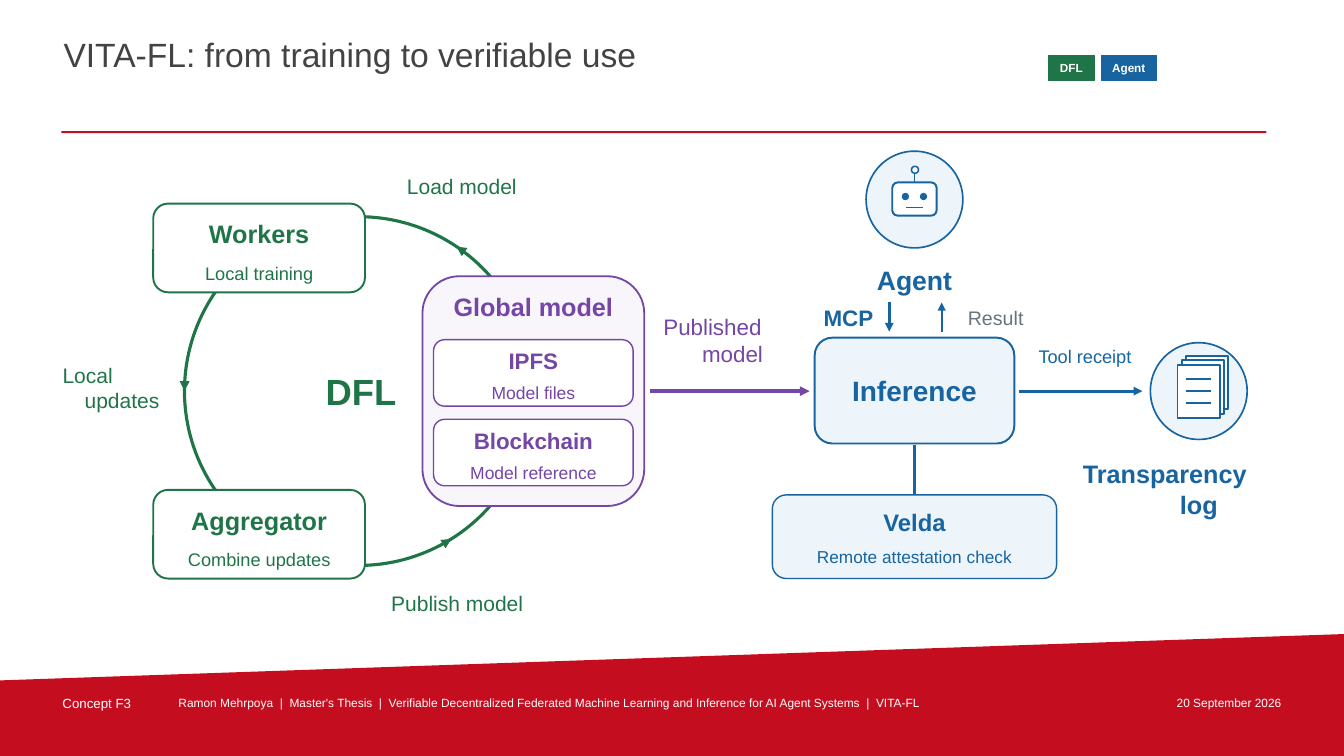
from dataclasses import dataclass
from math import cos, radians, sin

from lxml import etree
from pptx import Presentation
from pptx.dml.color import RGBColor
from pptx.enum.shapes import MSO_CONNECTOR, MSO_SHAPE
from pptx.enum.text import MSO_ANCHOR, PP_ALIGN
from pptx.oxml.ns import qn
from pptx.util import Inches, Pt

RECT = MSO_SHAPE.RECTANGLE
ROUND = MSO_SHAPE.ROUNDED_RECTANGLE
OVAL = MSO_SHAPE.OVAL
STRAIGHT = MSO_CONNECTOR.STRAIGHT
TOP, MIDDLE = MSO_ANCHOR.TOP, MSO_ANCHOR.MIDDLE
LEFT, CENTER, RIGHT = PP_ALIGN.LEFT, PP_ALIGN.CENTER, PP_ALIGN.RIGHT


@dataclass(frozen=True)
class Theme:
    font: str = "Arial"
    red: str = "C40D1E"
    dark: str = "434343"
    gray: str = "67747C"
    white: str = "FFFFFF"
    green: str = "207548"
    blue: str = "1764A1"
    sky: str = "EDF4FA"
    violet: str = "7446A6"
    lilac: str = "F8F5FB"
    title: float = 24
    hero: float = 26
    main: float = 20
    agent: float = 19
    head: float = 18
    proof: float = 17
    layer: float = 16
    label: float = 15
    result: float = 14
    note: float = 13
    file: float = 12.5
    check: float = 12.3
    mark: float = 9.5
    foot: float = 8.5
    chip: float = 8.4


T = Theme()


@dataclass(frozen=True)
class Style:
    """Card look; each row is (offset from card top, height, type size)."""
    size: tuple[float, float]
    fill: str
    ink: str
    line: float
    pad: float
    head: tuple[float, float, float]
    note: tuple[float, float, float]


@dataclass(frozen=True)
class Card:
    x: float
    y: float
    head: str
    note: str
    style: Style


@dataclass(frozen=True)
class Label:
    text: str
    x: float
    y: float
    w: float
    h: float
    size: float
    ink: str
    bold: bool = False


@dataclass(frozen=True)
class Link:
    x1: float
    y1: float
    x2: float
    y2: float
    ink: str
    width: float
    arrow: bool = True


STEP = Style((2.1, 0.88), T.white, T.green, 1.35, 0.06,
             (0.12, 0.36, T.head), (0.57, 0.24, T.note))
LAYER = Style((1.98, 0.66), T.white, T.violet, 1, 0.08,
              (0.05, 0.32, T.layer), (0.42, 0.21, T.file))
PROOF = Style((2.82, 0.83), T.sky, T.blue, 1, 0.11,
              (0.1, 0.33, T.proof), (0.49, 0.25, T.check))

CARDS = [
    Card(1.52, 2.02, "Workers", "Local training", STEP),
    Card(1.52, 4.86, "Aggregator", "Combine updates", STEP),
    Card(4.3, 3.37, "IPFS", "Model files", LAYER),
    Card(4.3, 4.16, "Blockchain", "Model reference", LAYER),
    Card(7.66, 4.91, "Velda", "Remote attestation check", PROOF),
]
LABELS = [
    Label("DFL", 2.97, 3.65, 1.22, 0.46, T.hero, T.green, True),
    Label("Local\nupdates", 0.62, 3.51, 1.18, 0.67, T.label, T.green),
    Label("Load model", 3.67, 1.68, 1.82, 0.34, T.label, T.green),
    Label("Publish model", 3.47, 5.82, 2.13, 0.32, T.label, T.green),
    Label("Global model", 4.27, 2.86, 2.04, 0.35, T.head, T.violet, True),
    Label("Published\nmodel", 6.58, 3.05, 1.37, 0.65, T.layer, T.violet),
    Label("Inference", 8.15, 3.38, 1.84, 0.99, T.main, T.blue, True),
    Label("Agent", 7.92, 2.59, 2.3, 0.38, T.agent, T.blue, True),
    Label("MCP", 8.09, 3, 0.65, 0.3, T.layer, T.blue, True),
    Label("Result", 9.48, 3, 0.79, 0.3, T.result, T.gray),
    Label("Tool receipt", 10.15, 3.37, 1.22, 0.33, T.note, T.blue),
    Label("Transparency\nlog", 10.74, 4.49, 2.3, 0.72, T.head, T.blue, True),
]
LINKS = [
    Link(6.45, 3.88, 8.03, 3.88, T.violet, 2.3),
    Link(8.82, 3, 8.82, 3.29, T.blue, 2.1),
    Link(9.34, 3.29, 9.34, 3, T.blue, 1.5),
    Link(10.11, 3.88, 11.33, 3.88, T.blue, 2.1),
    Link(9.07, 4.41, 9.07, 4.91, T.blue, 1.5, False),
]


def rgb(code: str) -> RGBColor:
    return RGBColor.from_string(code)


def add_box(slide, kind, x: float, y: float, w: float, h: float,
            fill: str, ink: str = "", width: float = 1) -> None:
    box = slide.shapes.add_shape(kind, Inches(x), Inches(y), Inches(w), Inches(h))
    paint(box, fill, ink, width)


def paint(shape, fill: str, ink: str = "", width: float = 1) -> None:
    """Fill the shape and outline it; without ink there is no outline."""
    shape.shadow.inherit = False
    shape.fill.solid()
    shape.fill.fore_color.rgb = rgb(fill)
    if ink:
        shape.line.color.rgb = rgb(ink)
        shape.line.width = Pt(width)
    else:
        shape.line.fill.background()


def add_text(slide, text: str, x: float, y: float, w: float, h: float, *,
             size: float, ink: str, bold: bool = False, align=CENTER,
             anchor=MIDDLE, inset: float = 0) -> None:
    """Write one paragraph per line; all but the last line start at the left."""
    frame = slide.shapes.add_textbox(Inches(x), Inches(y), Inches(w), Inches(h)).text_frame
    frame.word_wrap = True
    frame.vertical_anchor = anchor
    frame.margin_left = frame.margin_right = Inches(inset)
    frame.margin_top = frame.margin_bottom = Inches(inset)
    frame.text = text
    for para in frame.paragraphs:
        para.alignment = LEFT
        para.font.name = T.font
        para.font.size = Pt(size)
        para.font.bold = bold
        para.font.color.rgb = rgb(ink)
    frame.paragraphs[-1].alignment = align


def add_link(slide, link: Link) -> None:
    line = slide.shapes.add_connector(STRAIGHT, Inches(link.x1), Inches(link.y1),
                                      Inches(link.x2), Inches(link.y2))
    line.line.color.rgb = rgb(link.ink)
    line.line.width = Pt(link.width)
    props = line._element.spPr
    if link.arrow:
        etree.SubElement(props.find(qn("a:ln")), qn("a:tailEnd"), type="triangle")
    etree.SubElement(props, qn("a:effectLst"))


def add_card(slide, card: Card) -> None:
    style = card.style
    wide, high = style.size
    add_box(slide, ROUND, card.x, card.y, wide, high, style.fill, style.ink, style.line)
    for text, row, bold in ((card.head, style.head, True), (card.note, style.note, False)):
        drop, tall, size = row
        add_text(slide, text, card.x + style.pad, card.y + drop, wide - 2 * style.pad,
                 tall, size=size, ink=style.ink, bold=bold)


def add_frame(slide) -> None:
    """Draw the title, the rule, the chips and the footer."""
    pen = slide.shapes.build_freeform(0, Inches(6.75))
    edge = [(13.33, 6.29), (13.33, 7.5), (0, 7.5)]
    pen.add_line_segments([(Inches(x), Inches(y)) for x, y in edge])
    paint(pen.convert_to_shape(), T.red)
    add_text(slide, "VITA-FL: from training to verifiable use", 0.61, 0.32, 9.65, 0.62,
             size=T.title, ink=T.dark, align=LEFT, anchor=TOP, inset=0.02)
    add_box(slide, RECT, 0.61, 1.3, 11.95, 0.02, T.red)
    for text, x, w, size, align in (
        ("Concept F3", 0.6, 1, T.mark, LEFT),
        ("Ramon Mehrpoya  |  Master's Thesis  |  Verifiable Decentralized Federated Machine "
         "Learning and Inference for AI Agent Systems  |  VITA-FL", 1.75, 9.35, T.foot, LEFT),
        ("20 September 2026", 11.2, 1.53, T.foot, RIGHT),
    ):
        add_text(slide, text, x, 6.88, w, 0.22, size=size, ink=T.white,
                 align=align, anchor=TOP, inset=0.02)
    for text, x, w, fill in (("DFL", 10.4, 0.45, T.green), ("Agent", 10.92, 0.55, T.blue)):
        add_box(slide, RECT, x, 0.55, w, 0.25, fill, fill, 0.55)
        add_text(slide, text, x, 0.55, w, 0.25, size=T.chip, ink=T.white, bold=True)


def add_cycle(slide) -> None:
    """Draw the training ring with an arrowhead at each given angle."""
    mid_x, mid_y, radius = 3.56, 3.88, 1.73
    add_box(slide, OVAL, mid_x - radius, mid_y - radius, 2 * radius, 2 * radius,
            T.white, T.green, 2.25)
    for angle in (180, 58, -56):
        start, end = ((mid_x + radius * cos(radians(a)), mid_y + radius * sin(radians(a)))
                      for a in (angle + 1.5, angle))
        add_link(slide, Link(*start, *end, T.green, 2.35))


def add_robot(slide) -> None:
    add_box(slide, OVAL, 8.59, 1.5, 0.96, 0.96, T.sky, T.blue, 1.2)
    add_box(slide, ROUND, 8.85, 1.81, 0.44, 0.33, T.white, T.blue, 1.4)
    for x in (8.95, 9.13):
        add_box(slide, OVAL, x, 1.92, 0.06, 0.06, T.blue, T.blue, 0.8)
    add_link(slide, Link(8.99, 2.06, 9.15, 2.06, T.blue, 1.2, False))
    add_link(slide, Link(9.07, 1.81, 9.07, 1.72, T.blue, 1.2, False))
    add_box(slide, OVAL, 9.04, 1.65, 0.07, 0.07, T.white, T.blue, 1.1)


def add_log(slide) -> None:
    add_box(slide, OVAL, 11.41, 3.4, 0.96, 0.96, T.sky, T.blue, 1.2)
    for i in range(3):
        add_box(slide, RECT, 11.76 - 0.04 * i, 3.53 + 0.045 * i, 0.42, 0.53,
                T.white, T.blue, 1.2)
    for i in range(3):
        y = 3.76 + 0.12 * i
        add_link(slide, Link(11.76, y, 12.01, y, T.blue, 1.2, False))


def main() -> None:
    deck = Presentation()
    deck.slide_width, deck.slide_height = Inches(13.33), Inches(7.5)
    slide = deck.slides.add_slide(deck.slide_layouts[6])
    add_frame(slide)
    add_cycle(slide)
    add_box(slide, ROUND, 4.19, 2.74, 2.2, 2.28, T.lilac, T.violet, 1.3)
    add_box(slide, ROUND, 8.08, 3.35, 1.98, 1.05, T.sky, T.blue, 1.4)
    for card in CARDS:
        add_card(slide, card)
    add_robot(slide)
    add_log(slide)
    for link in LINKS:
        add_link(slide, link)
    for label in LABELS:
        add_text(slide, label.text, label.x, label.y, label.w, label.h,
                 size=label.size, ink=label.ink, bold=label.bold)
    deck.save("out.pptx")


if __name__ == "__main__":
    main()
